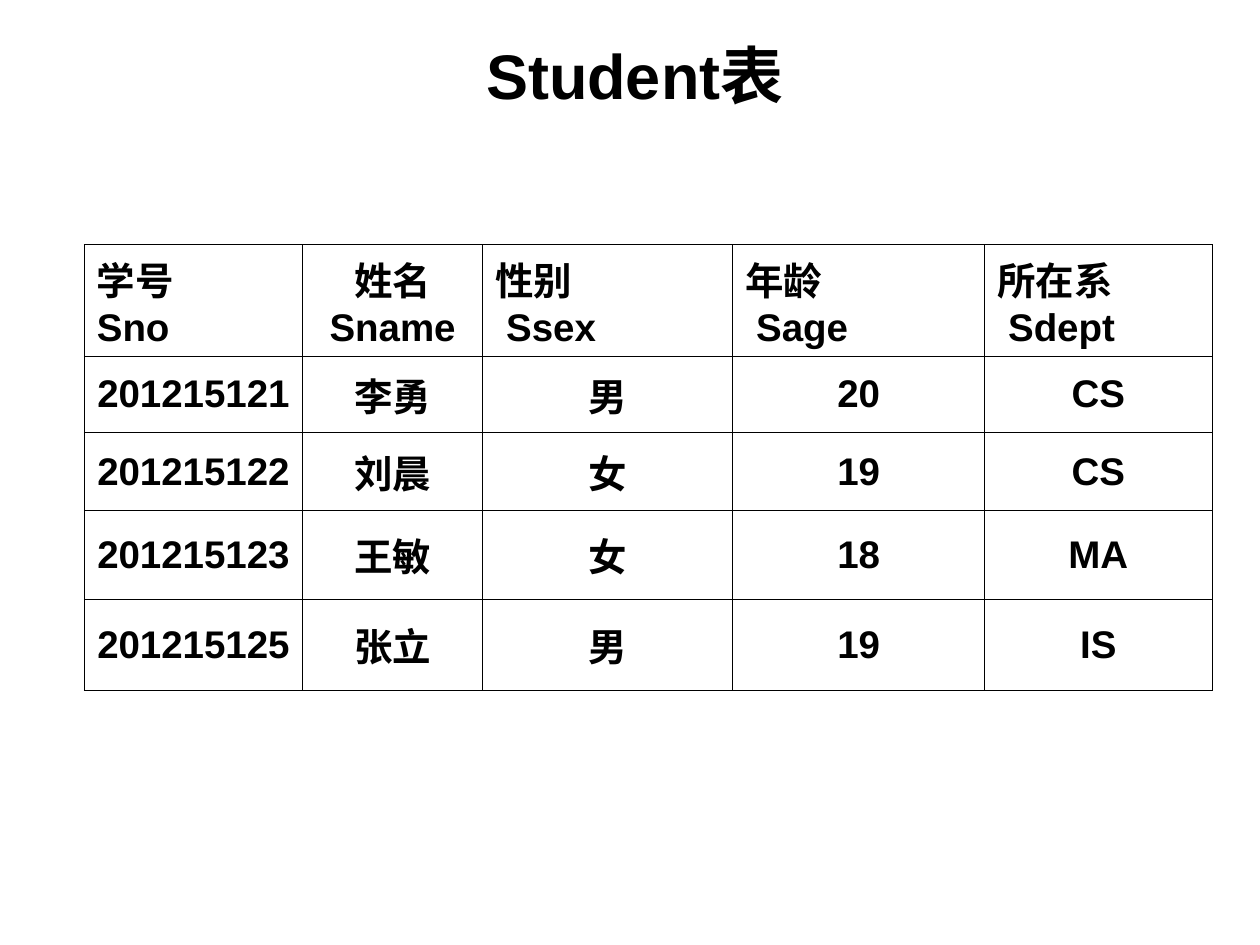
from dataclasses import dataclass
from typing import NamedTuple

from lxml.etree import SubElement
from pptx import Presentation
from pptx.dml.color import RGBColor
from pptx.enum.text import MSO_ANCHOR, MSO_AUTO_SIZE, PP_ALIGN
from pptx.oxml.ns import qn
from pptx.util import Cm, Pt


@dataclass(frozen=True)
class Theme:
    ink: str = "000000"
    font: str = "Arial"
    title_size: float = 36
    table_size: float = 22
    border_width: float = 0.45


class Column(NamedTuple):
    label: str
    field: str
    width: float
    alignment: PP_ALIGN = PP_ALIGN.LEFT
    field_indent: float = 0


class Student(NamedTuple):
    number: str
    name: str
    sex: str
    age: str
    department: str
    height: float


THEME = Theme()
HEADER_HEIGHT = 2.11
COLUMNS = [
    Column("学号", "Sno", 4.4),
    Column("姓名", "Sname", 3.63, PP_ALIGN.CENTER),
    Column("性别", "Ssex", 5.04, field_indent=0.22),
    Column("年龄", "Sage", 5.08, field_indent=0.22),
    Column("所在系", "Sdept", 4.58, field_indent=0.22),
]
STUDENTS = [
    Student("201215121", "李勇", "男", "20", "CS", 1.55),
    Student("201215122", "刘晨", "女", "19", "CS", 1.57),
    Student("201215123", "王敏", "女", "18", "MA", 1.78),
    Student("201215125", "张立", "男", "19", "IS", 1.85),
]


def format_text(text_frame, size: float, alignment: PP_ALIGN) -> None:
    for paragraph in text_frame.paragraphs:
        paragraph.alignment = alignment
        for run in paragraph.runs:
            run.font.name = THEME.font
            run.font.size = Pt(size)
            run.font.bold = True
            run.font.color.rgb = RGBColor.from_string(THEME.ink)


def draw_borders(cell) -> None:
    properties = cell._tc.get_or_add_tcPr()
    for side in ("a:lnL", "a:lnR", "a:lnT", "a:lnB"):
        line = SubElement(properties, qn(side), w=str(Pt(THEME.border_width)))
        fill = SubElement(line, qn("a:solidFill"))
        SubElement(fill, qn("a:srgbClr"), val=THEME.ink)


def fill_cell(cell, text: str, alignment: PP_ALIGN) -> None:
    draw_borders(cell)
    cell.fill.background()
    cell.vertical_anchor = MSO_ANCHOR.MIDDLE
    cell.text_frame.text = text
    format_text(cell.text_frame, THEME.table_size, alignment)


def add_title(slide, text: str) -> None:
    title = slide.shapes.title
    title.left, title.top = Cm(2.54), Cm(0.71)
    title.width, title.height = Cm(20.52), Cm(1.57)
    title.text_frame.text = text
    title.text_frame.auto_size = MSO_AUTO_SIZE.NONE
    title.text_frame.vertical_anchor = MSO_ANCHOR.MIDDLE
    format_text(title.text_frame, THEME.title_size, PP_ALIGN.CENTER)


def add_student_table(slide, columns: list[Column], students: list[Student]) -> None:
    heights = [HEADER_HEIGHT] + [student.height for student in students]
    width = sum(column.width for column in columns)
    table = slide.shapes.add_table(
        len(heights), len(columns), Cm(1.7), Cm(4.93), Cm(width), Cm(sum(heights))
    ).table
    table.first_row = False
    table.horz_banding = False
    for row, height in zip(table.rows, heights):
        row.height = Cm(height)
    for index, column in enumerate(columns):
        table.columns[index].width = Cm(column.width)
        header = table.cell(0, index)
        fill_cell(header, f"{column.label}\n{column.field}", column.alignment)
        if column.field_indent:
            field_properties = header.text_frame.paragraphs[1]._p.get_or_add_pPr()
            field_properties.set("marL", str(Cm(column.field_indent)))
        for row_index, student in enumerate(students, start=1):
            fill_cell(table.cell(row_index, index), student[index], PP_ALIGN.CENTER)


def main() -> None:
    presentation = Presentation()
    presentation.slide_width = Cm(25.4)
    presentation.slide_height = Cm(19.05)
    slide = presentation.slides.add_slide(presentation.slide_layouts[5])
    add_title(slide, "Student表")
    add_student_table(slide, COLUMNS, STUDENTS)
    presentation.save("out.pptx")


if __name__ == "__main__":
    main()
